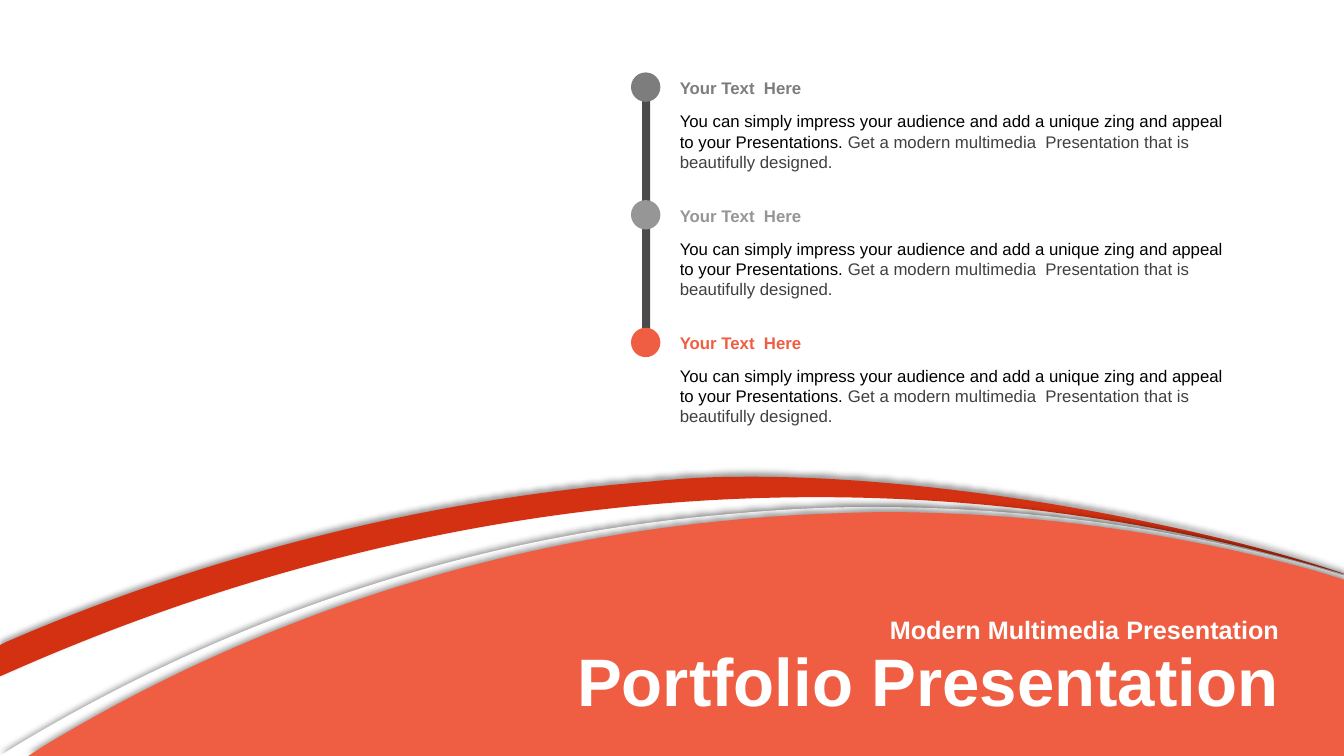
from dataclasses import dataclass

from lxml.etree import SubElement
from pptx import Presentation
from pptx.dml.color import RGBColor
from pptx.enum.shapes import MSO_SHAPE
from pptx.enum.text import MSO_ANCHOR, MSO_AUTO_SIZE, PP_ALIGN
from pptx.oxml.ns import qn
from pptx.slide import Slide
from pptx.util import Emu, Inches, Pt

COLUMNS, ROWS = 160, 90
CELL = Inches(1) // 12
FONT = "Arial"
COLOURS = {
    "ember": "D33112", "coral": "EF5E42", "white": "FFFFFF", "black": "000000",
    "rail": "4B4B4B", "slate": "7D7D7D", "silver": "969696", "ink": "404040",
}


@dataclass(frozen=True)
class Area:
    column: float
    row: float
    columns: float
    rows: float

    def emu(self) -> list[Emu]:
        return [cells(n) for n in (self.column, self.row, self.columns, self.rows)]


@dataclass(frozen=True)
class Wave:
    """Each step is one point for a line, or three for a Bézier curve."""
    colour: str
    start: tuple
    steps: tuple


@dataclass(frozen=True)
class Run:
    text: str
    colour: str
    size: int = 12
    bold: bool = False


@dataclass(frozen=True)
class Milestone:
    heading: str
    colour: str


RIBBON = Wave("ember", (88.08, 56.76), (
    ((114.36, 56.52), (146.16, 63.36), (160.92, 68.64)),
    ((108, 52.56), (52.56, 57.48), (1.92, 79.68)),
    ((0, 80.52),), ((0, 76.8),), ((0.72, 76.44),),
    ((24.48, 66.12), (50.88, 59.4), (77.16, 57.36)),
    ((80.64, 57), (84.36, 56.76), (88.08, 56.76)),
))
RIM = Wave("white", (103.68, 60.36), (
    ((121.8, 60.36), (139.56, 62.76), (156.36, 67.44)),
    ((COLUMNS, 68.52),), ((COLUMNS, ROWS),), ((0, ROWS),), ((1.68, 88.92),),
    ((26.52, 73.92), (54.96, 64.08), (85.56, 61.32)),
    ((91.68, 60.72), (97.68, 60.36), (103.68, 60.36)),
))
HILL = Wave("coral", (104.88, 60.96), (
    ((122.64, 60.96), (139.92, 63.36), (156.48, 67.92)),
    ((COLUMNS, 69),), ((COLUMNS, ROWS),), ((3.36, ROWS),), ((5.04, 88.92),),
    ((29.4, 74.16), (57.24, 64.68), (87.12, 61.92)),
    ((93.12, 61.32), (99, 61.08), (104.88, 60.96)),
))

MILESTONES = (
    Milestone("Your Text  Here", "slate"),
    Milestone("Your Text  Here", "silver"),
    Milestone("Your Text  Here", "coral"),
)
DESCRIPTION = (
    Run("You can simply impress your audience and add a unique zing and appeal "
        "to your Presentations. ", "black"),
    Run("Get a modern multimedia  Presentation that is beautifully designed.", "ink"),
)
DOT_COLUMN, DOT_ROW, DOT_SIZE, DOT_PITCH = 75.12, 8.62, 3.5, 15.2
RAIL = Area(76.44, 11.64, 0.96, 27.6)
TEXT_COLUMN, TEXT_WIDTH, TEXT_PITCH = 79.75, 68.4, 15.14
HEADING_ROW, DESCRIPTION_ROW = 8.71, 12.64


def cells(count: float) -> Emu:
    return Emu(round(count * CELL))


def rgb(colour: str) -> RGBColor:
    return RGBColor.from_string(COLOURS[colour])


def paint(shape, colour: str) -> None:
    shape.shadow.inherit = False
    shape.fill.solid()
    shape.fill.fore_color.rgb = rgb(colour)
    shape.line.fill.background()


def cast_shadow_upwards(shape) -> None:
    effects = shape.element.spPr.find(qn("a:effectLst"))
    shadow = SubElement(effects, qn("a:outerShdw"), blurRad=str(Pt(4)),
                        dist=str(Pt(3)), dir=str(270 * 60000), algn="b", rotWithShape="0")
    tint = SubElement(shadow, qn("a:srgbClr"), val=COLOURS["black"])
    SubElement(tint, qn("a:alpha"), val="40000")


def bend_segments(shape, steps: tuple) -> None:
    """Turn the straight segments of three-point steps into Bézier curves."""
    segments = list(shape.element.spPr.iter(qn("a:lnTo")))
    for segment, step in zip(segments, steps):
        if len(step) == 1:
            continue
        segment.tag = qn("a:cubicBezTo")
        for position, (column, row) in enumerate(step[:-1]):
            control = SubElement(segment, qn("a:pt"), x=str(cells(column) - shape.left),
                                 y=str(cells(row) - shape.top))
            segment.insert(position, control)


def draw_wave(slide: Slide, wave: Wave) -> None:
    anchors = [wave.start, *(step[-1] for step in wave.steps)]
    vertices = [(cells(column), cells(row)) for column, row in anchors]
    builder = slide.shapes.build_freeform(*vertices[0])
    builder.add_line_segments(vertices[1:], close=True)
    shape = builder.convert_to_shape()
    bend_segments(shape, wave.steps)
    paint(shape, wave.colour)
    cast_shadow_upwards(shape)


def draw_shape(slide: Slide, preset: MSO_SHAPE, area: Area, colour: str) -> None:
    paint(slide.shapes.add_shape(preset, *area.emu()), colour)


def draw_text(slide: Slide, area: Area, runs: tuple):
    """Add a text box of one paragraph and return its text frame."""
    frame = slide.shapes.add_textbox(*area.emu()).text_frame
    frame.word_wrap = True
    for part in runs:
        run = frame.paragraphs[0].add_run()
        run.text = part.text
        run.font.name = FONT
        run.font.size = Pt(part.size)
        run.font.bold = part.bold
        run.font.color.rgb = rgb(part.colour)
    return frame


def draw_timeline(slide: Slide) -> None:
    draw_shape(slide, MSO_SHAPE.RECTANGLE, RAIL, "rail")
    for index, milestone in enumerate(MILESTONES):
        dot = Area(DOT_COLUMN, DOT_ROW + index * DOT_PITCH, DOT_SIZE, DOT_SIZE)
        draw_shape(slide, MSO_SHAPE.OVAL, dot, milestone.colour)


def draw_milestone_texts(slide: Slide) -> None:
    for index, milestone in enumerate(MILESTONES):
        heading = (Run(milestone.heading, milestone.colour, bold=True),)
        for row, rows, runs in ((HEADING_ROW, 3.6, heading),
                                (DESCRIPTION_ROW, 8.5, DESCRIPTION)):
            area = Area(TEXT_COLUMN, row + index * TEXT_PITCH, TEXT_WIDTH, rows)
            draw_text(slide, area, runs).auto_size = MSO_AUTO_SIZE.SHAPE_TO_FIT_TEXT


def draw_title(slide: Slide, area: Area, title: Run, spacing: float) -> None:
    frame = draw_text(slide, area, (title,))
    frame.vertical_anchor = MSO_ANCHOR.MIDDLE
    frame.paragraphs[0].alignment = PP_ALIGN.RIGHT
    frame.paragraphs[0].line_spacing = spacing


def main() -> None:
    presentation = Presentation()
    presentation.slide_width = cells(COLUMNS)
    presentation.slide_height = cells(ROWS)
    slide = presentation.slides.add_slide(presentation.slide_layouts[6])
    draw_wave(slide, RIBBON)
    draw_wave(slide, RIM)
    draw_timeline(slide)
    draw_wave(slide, HILL)
    draw_milestone_texts(slide)
    draw_title(slide, Area(60.96, 76.8, 92.5, 9.36),
               Run("Portfolio Presentation", "white", 48, True), 0.9)
    draw_title(slide, Area(97.06, 73.08, 56.4, 3.72),
               Run("Modern Multimedia Presentation", "white", 18, True), 1.0)
    presentation.save("out.pptx")


if __name__ == "__main__":
    main()
